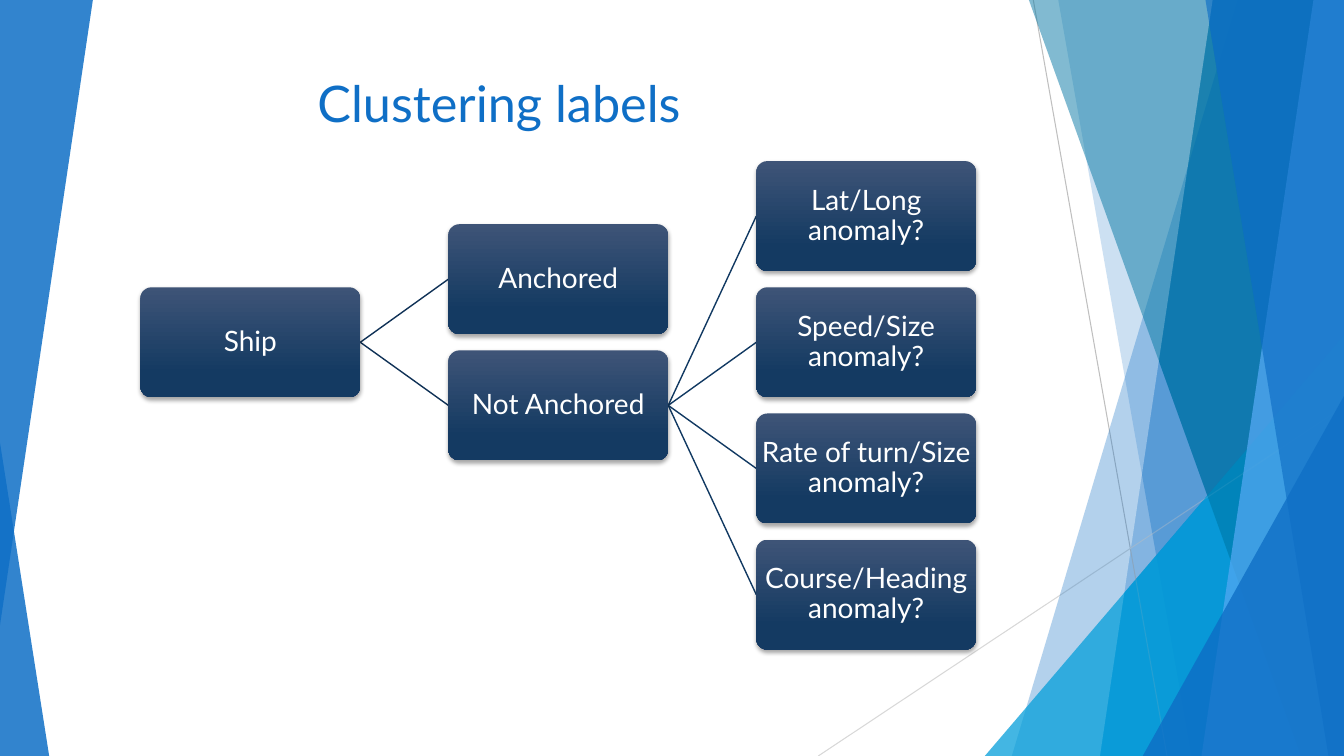
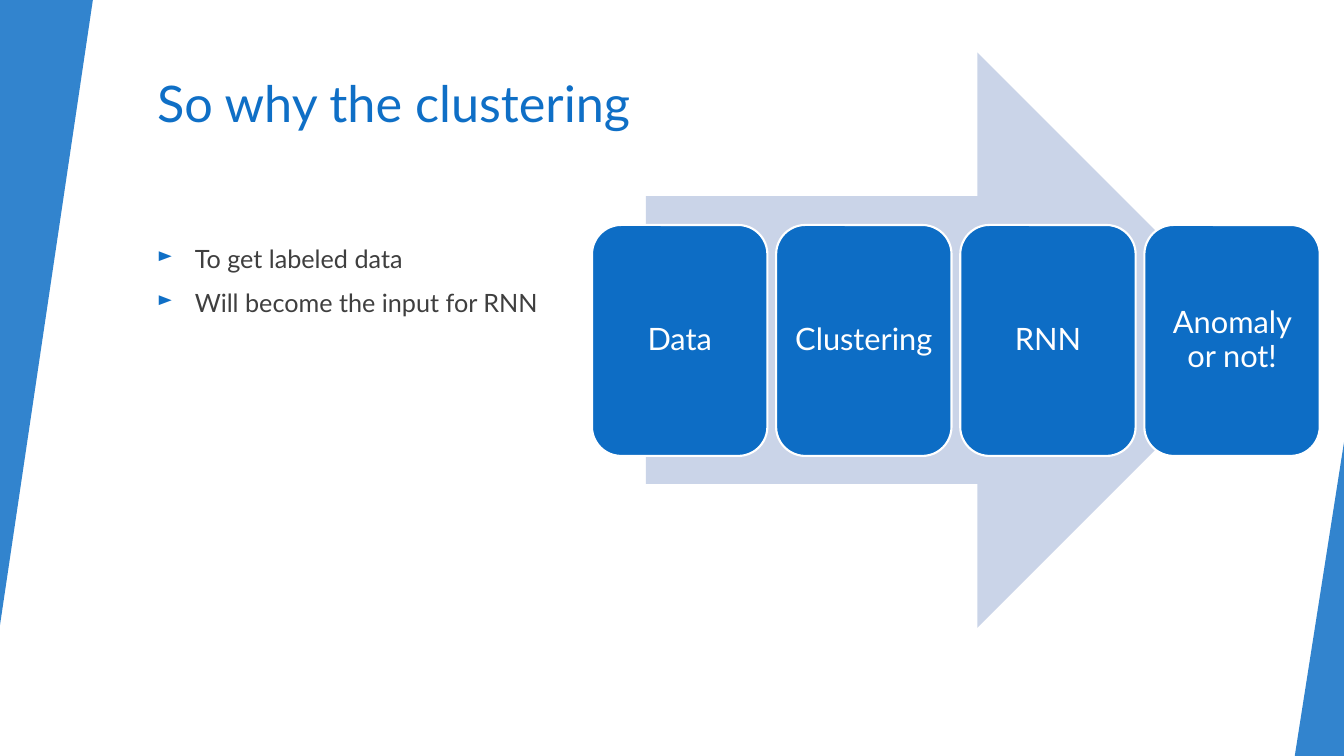
from lxml import etree
from pptx import Presentation
from pptx.dml.color import RGBColor
from pptx.enum.shapes import MSO_CONNECTOR, MSO_SHAPE
from pptx.enum.text import MSO_ANCHOR, PP_ALIGN
from pptx.oxml import parse_xml
from pptx.oxml.ns import nsdecls, qn
from pptx.util import Cm, Pt

TRIANGLE = MSO_SHAPE.ISOSCELES_TRIANGLE
PARALLELOGRAM = MSO_SHAPE.PARALLELOGRAM
ROUNDED = MSO_SHAPE.ROUNDED_RECTANGLE
ARROW = MSO_SHAPE.RIGHT_ARROW
STRAIGHT = MSO_CONNECTOR.STRAIGHT
LEFT, CENTER = PP_ALIGN.LEFT, PP_ALIGN.CENTER
TOP, MIDDLE = MSO_ANCHOR.TOP, MSO_ANCHOR.MIDDLE

# Shared look
FONT = "Lato"
WHITE = RGBColor(0xFF, 0xFF, 0xFF)
BLUE = RGBColor(0x0F, 0x6F, 0xC6)
CYAN = RGBColor(0x00, 0x9D, 0xD9)
TEAL = RGBColor(0x00, 0x75, 0xA2)
SKY = RGBColor(0x56, 0xA9, 0xF3)
BODY_GREY = RGBColor(0x3F, 0x3F, 0x3F)
MID_GREY = RGBColor(0xBF, 0xBF, 0xBF)
LIGHT_GREY = RGBColor(0xD8, 0xD8, 0xD8)
BOX_TOP = RGBColor(0x3E, 0x54, 0x77)
BOX_BOTTOM = RGBColor(0x14, 0x3A, 0x62)
FIRST_BRANCH = RGBColor(0x0F, 0x31, 0x56)
SECOND_BRANCH = RGBColor(0x11, 0x39, 0x62)
CARD_BLUE = RGBColor(0x0D, 0x6D, 0xC5)
ARROW_BLUE = RGBColor(0xCA, 0xD4, 0xE8)

WIDTH, HEIGHT = 33.87, 19.05  # all lengths in cm
TITLE_TOP, TITLE_HEIGHT = 1.7, 3.66

# Facets on the right edge, back to front: a band is (top x, bottom x),
# a triangle is (left, top); both reach the lower right corner
FACETS = [
    ("band", 31.19, 25.5, BLUE, 30),
    ("band", 26.67, 30.03, BLUE, 20),
    ("triangle", 24.82, 8.46, CYAN, 72),
    ("band", 25.93, 32.79, TEAL, None),
    ("band", 33.1, 30.28, SKY, 70),
    ("band", 30.38, 33.48, BLUE, 65),
    ("triangle", 28.8, 9.98, BLUE, 80),
]
HAIRLINES = [
    (26.04, 0, 29.41, HEIGHT, MID_GREY),
    (WIDTH, 10.24, 20.62, HEIGHT, LIGHT_GREY),
]

# Tree: name -> (label, column, row); branches by name
TREE = {
    "ship": ("Ship", 0, 1),
    "anchored": ("Anchored", 1, 0.5),
    "moving": ("Not Anchored", 1, 1.5),
    "position": ("Lat/Long anomaly?", 2, 0),
    "speed": ("Speed/Size anomaly?", 2, 1),
    "turn": ("Rate of turn/Size anomaly?", 2, 2),
    "course": ("Course/Heading anomaly?", 2, 3),
}
BRANCHES = [
    ("ship", ["anchored", "moving"], FIRST_BRANCH),
    ("moving", ["position", "speed", "turn", "course"], SECOND_BRANCH),
]
TREE_LEFT, TREE_TOP = 3.54, 4.06
COLUMN_STEP, ROW_STEP = 7.76, 3.18
BOX_WIDTH, BOX_HEIGHT = 5.54, 2.77

REASONS = ["To get labeled data", "Will become the input for RNN"]
STAGES = ["Data", "Clustering", "RNN", "Anomaly or not!"]
STAGE_LEFT, STAGE_TOP, STAGE_STEP = 14.92, 5.67, 4.64
STAGE_WIDTH, STAGE_HEIGHT = 4.42, 5.82


def write_text(shape, lines, size, color, align=LEFT, anchor=TOP,
               inset=(0.25, 0.13), line_spacing=None, space_before=0,
               bullet=None):
    frame = shape.text_frame
    frame.word_wrap = True
    frame.vertical_anchor = anchor
    frame.margin_left = frame.margin_right = Cm(inset[0])
    frame.margin_top = frame.margin_bottom = Cm(inset[1])
    for index, line in enumerate(lines):
        paragraph = frame.add_paragraph() if index else frame.paragraphs[0]
        paragraph.alignment = align
        if line_spacing:
            paragraph.line_spacing = line_spacing
        if index:
            paragraph.space_before = Pt(space_before)
        run = paragraph.add_run()
        run.text = line
        run.font.name = FONT
        run.font.size = Pt(size)
        run.font.color.rgb = color
        if bullet:
            add_bullet(paragraph, bullet)


def add_bullet(paragraph, symbol, indent=0.95):
    properties = paragraph._p.get_or_add_pPr()
    properties.set("marL", str(Cm(indent)))
    properties.set("indent", str(-Cm(indent)))
    color = etree.SubElement(properties, qn("a:buClr"))
    etree.SubElement(color, qn("a:srgbClr"), val=str(BLUE))
    etree.SubElement(properties, qn("a:buSzPct"), val="80000")
    etree.SubElement(properties, qn("a:buChar"), char=symbol)


def paint(shape, color, opacity=100):
    shape.shadow.inherit = False
    shape.line.fill.background()
    shape.fill.solid()
    shape.fill.fore_color.rgb = color
    if opacity < 100:
        value = shape.element.spPr.find(".//" + qn("a:srgbClr"))
        etree.SubElement(value, qn("a:alpha"), val=str(opacity * 1000))


def add_preset(slide, kind, left, top, width, height, color, opacity=100,
               adjustment=None):
    shape = slide.shapes.add_shape(
        kind, Cm(left), Cm(top), Cm(width), Cm(height))
    if adjustment is not None:
        shape.adjustments[0] = adjustment
    paint(shape, color, opacity)
    return shape


def add_line(slide, x1, y1, x2, y2, color, weight):
    line = slide.shapes.add_connector(STRAIGHT, Cm(x1), Cm(y1), Cm(x2), Cm(y2))
    line.line.color.rgb = color
    line.line.width = Pt(weight)
    etree.SubElement(line.element.spPr, qn("a:effectLst"))


def add_title(slide, text, left, width):
    box = slide.shapes.add_textbox(
        Cm(left), Cm(TITLE_TOP), Cm(width), Cm(TITLE_HEIGHT))
    write_text(box, [text], 36, BLUE)


def add_left_wedge(slide):
    wedge = add_preset(slide, TRIANGLE, 0, 0, 2.34, 15.75, BLUE, 85, 1)
    wedge.rotation = 180


def add_facets(slide, teal_opacity):
    for kind, first, second, color, opacity in FACETS:
        opacity = opacity or teal_opacity
        if kind == "triangle":
            add_preset(slide, TRIANGLE, first, second,
                       WIDTH - first, HEIGHT - second, color, opacity, 1)
            continue
        builder = slide.shapes.build_freeform(Cm(first), 0)
        corners = [(WIDTH, 0), (WIDTH, HEIGHT), (second, HEIGHT)]
        builder.add_line_segments([(Cm(x), Cm(y)) for x, y in corners])
        paint(builder.convert_to_shape(), color, opacity)


def style_tree_box(box):
    box.fill.gradient()
    box.fill.gradient_angle = 270
    for stop, color, position in zip(
            box.fill.gradient_stops, (BOX_TOP, BOX_BOTTOM), (0, 0.78)):
        stop.color.rgb = color
        stop.position = position
    effects = box.element.spPr.find(qn("a:effectLst"))
    effects.append(parse_xml(
        f'<a:outerShdw {nsdecls("a")} blurRad="{Pt(3)}" dist="{Pt(2)}" '
        'dir="5400000" rotWithShape="0"><a:srgbClr val="000000">'
        '<a:alpha val="35000"/></a:srgbClr></a:outerShdw>'))


def tree_corner(name):
    _, column, row = TREE[name]
    return TREE_LEFT + column * COLUMN_STEP, TREE_TOP + row * ROW_STEP


def build_labels_slide(slide):
    # Backdrop: faint facets under a white panel, then the facets again
    add_facets(slide, 70)
    add_preset(slide, TRIANGLE, 0, 11.15, 1.24, 7.9, BLUE, 85, 0)
    add_left_wedge(slide)
    add_preset(slide, PARALLELOGRAM, 4.52, 0, 26.04, HEIGHT, WHITE, 94, 0.149)
    for x1, y1, x2, y2, color in HAIRLINES:
        add_line(slide, x1, y1, x2, y2, color, 0.75)
    add_facets(slide, 47)
    add_title(slide, "Clustering labels", 7.75, 18.03)

    # Tree
    for parent, children, color in BRANCHES:
        parent_left, parent_top = tree_corner(parent)
        for child in children:
            left, top = tree_corner(child)
            add_line(slide, parent_left + BOX_WIDTH,
                     parent_top + BOX_HEIGHT / 2,
                     left, top + BOX_HEIGHT / 2, color, 1)
    for name, (label, _, _) in TREE.items():
        box = add_preset(slide, ROUNDED, *tree_corner(name),
                         BOX_WIDTH, BOX_HEIGHT, BOX_BOTTOM, adjustment=0.1)
        style_tree_box(box)
        write_text(box, [label], 20, WHITE, align=CENTER, anchor=MIDDLE,
                   inset=(0.03, 0.03), line_spacing=0.9)


def build_reasons_slide(slide):
    add_title(slide, "So why the clustering", 3.71, 23.88)
    add_left_wedge(slide)
    body = slide.shapes.add_textbox(Cm(3.71), Cm(6), Cm(23.88), Cm(10.77))
    write_text(body, REASONS, 18, BODY_GREY, space_before=10, bullet="►")
    add_preset(slide, TRIANGLE, WIDTH - 1.24, 11.15, 1.24, 7.9, BLUE, 85, 1)

    # Stages on an arrow
    add_preset(slide, ARROW, 16.28, 1.32, 15.6, 14.5, ARROW_BLUE)
    for index, stage in enumerate(STAGES):
        card = add_preset(slide, ROUNDED, STAGE_LEFT + index * STAGE_STEP,
                          STAGE_TOP, STAGE_WIDTH, STAGE_HEIGHT, CARD_BLUE)
        card.line.color.rgb = WHITE
        card.line.width = Pt(1.5)
        write_text(card, [stage], 22, WHITE, align=CENTER, anchor=MIDDLE,
                   inset=(0.23, 0.23), line_spacing=0.9)


def main():
    presentation = Presentation()
    presentation.slide_width = Cm(WIDTH)
    presentation.slide_height = Cm(HEIGHT)
    blank = presentation.slide_layouts[6]
    for build in (build_labels_slide, build_reasons_slide):
        build(presentation.slides.add_slide(blank))
    presentation.save("out.pptx")


if __name__ == "__main__":
    main()
